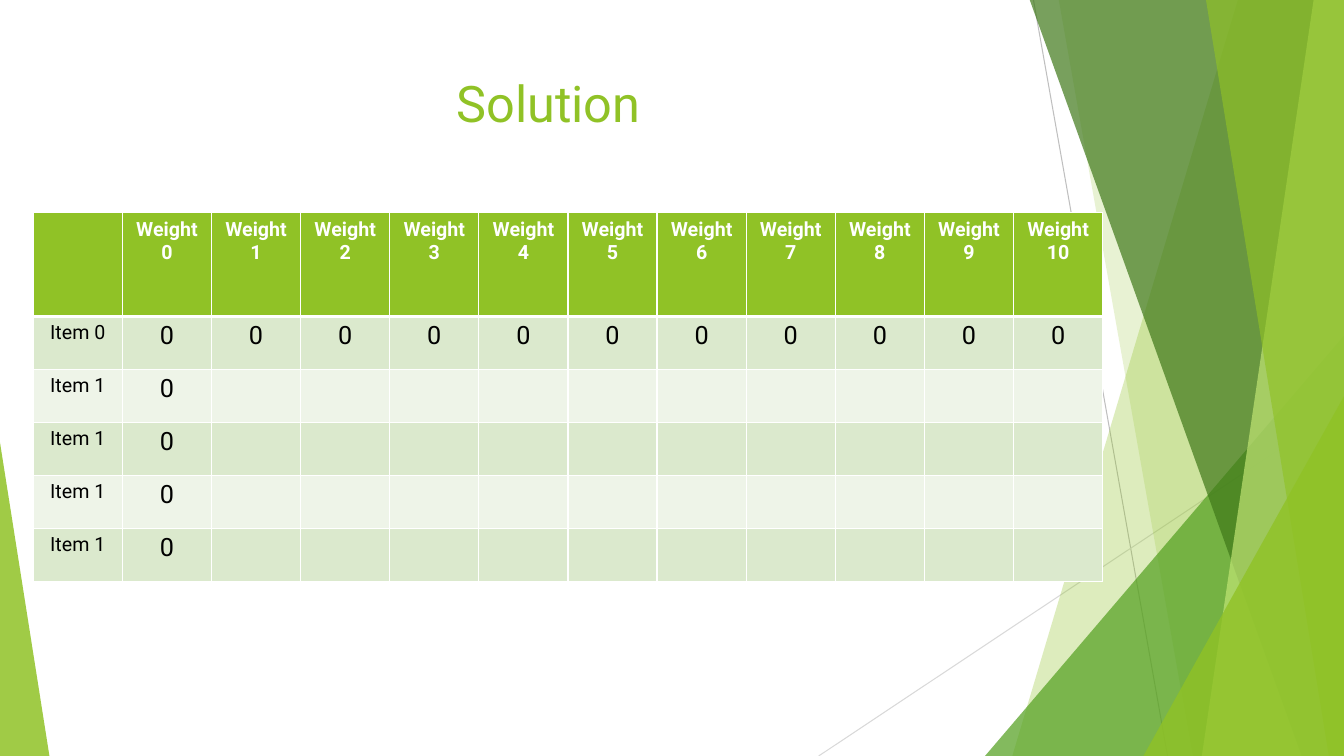
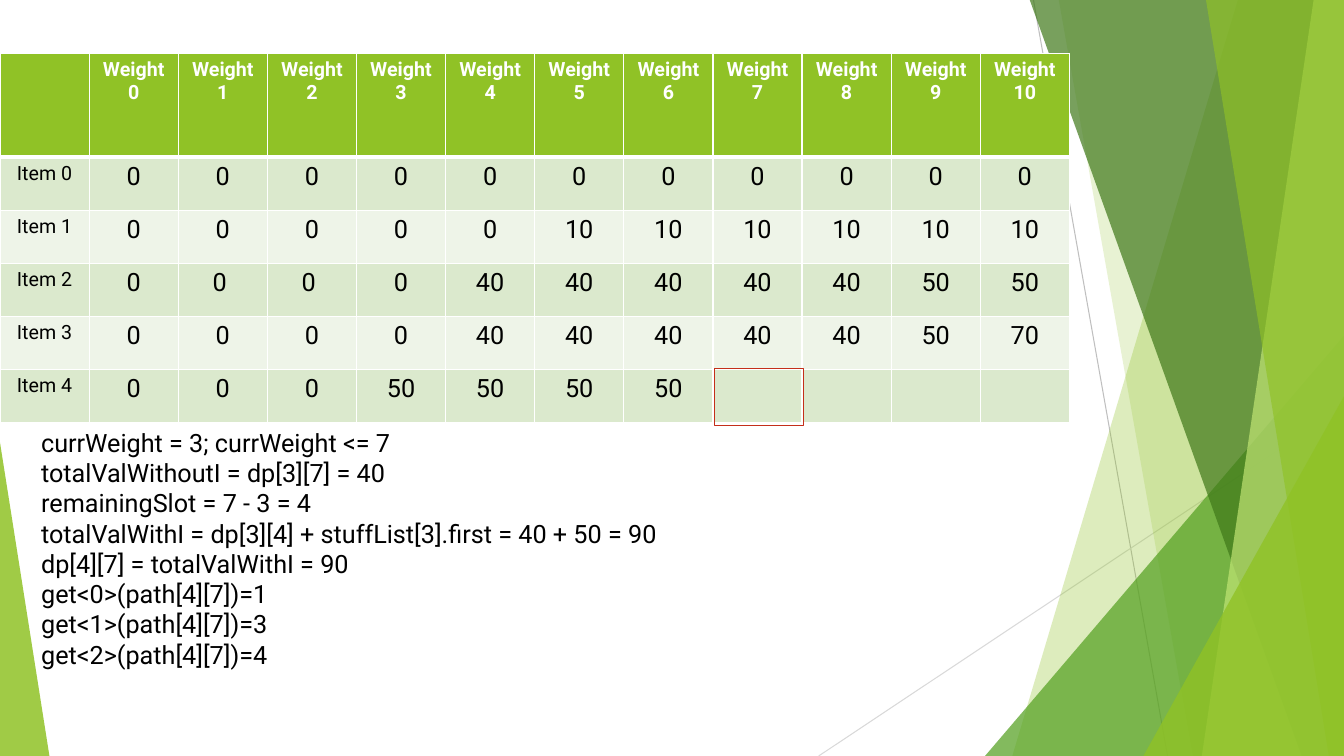
import dataclasses

import lxml.etree
import pptx
import pptx.dml.color
import pptx.enum.shapes
import pptx.enum.text
import pptx.oxml.ns
import pptx.util

Inches = pptx.util.Inches
Pt = pptx.util.Pt
qn = pptx.oxml.ns.qn
SHAPE = pptx.enum.shapes.MSO_SHAPE
ALIGN = pptx.enum.text.PP_ALIGN


@dataclasses.dataclass(frozen=True)
class Theme:
    font: str = "Roboto"
    lime: str = "90C226"
    green: str = "54A021"
    forest: str = "3F7819"
    pale: str = "C0E474"
    odd_row: str = "DBE9CD"
    even_row: str = "EEF4E8"
    white: str = "FFFFFF"
    black: str = "000000"
    red: str = "C42F1A"
    steep_line: str = "BFBFBF"
    flat_line: str = "D9D9D9"
    title_size: int = 36
    body_size: int = 18
    label_size: int = 14
    thin: float = 0.75


T = Theme()
WIDTH, HEIGHT = 13.33, 7.5
TABLE_WIDTH, TABLE_HEIGHT, HEADER_HEIGHT = 10.61, 3.66, 1.03
HEADER = [""] + [f"Weight {w}" for w in range(11)]

# Top-left x, top-right x, bottom-left x, colour, opacity
BACK_BANDS = [(12.28, 10.04, T.lime, 30), (10.5, 11.83, T.lime, 20)]
FRONT_BANDS = [
    (10.21, 12.91, T.forest, 70),
    (13.03, 11.92, T.pale, 70),
    (11.96, 13.18, T.lime, 65),
]


def rgb(color):
    return pptx.dml.color.RGBColor.from_string(color)


def write(tf, *lines, size=T.body_size, color=T.black, bold=False, align=ALIGN.LEFT):
    """Put one paragraph per line into a text frame."""
    for i, line in enumerate(lines):
        p = tf.paragraphs[0] if i == 0 else tf.add_paragraph()
        p.alignment = align
        r = p.add_run()
        r.text = line
        r.font.name = T.font
        r.font.size = Pt(size)
        r.font.bold = bold
        r.font.color.rgb = rgb(color)


def tint(sp, color, opacity):
    sp.shadow.inherit = False
    sp.line.fill.background()
    sp.fill.solid()
    sp.fill.fore_color.rgb = rgb(color)
    clr = sp.element.spPr.find(".//" + qn("a:srgbClr"))
    lxml.etree.SubElement(clr, qn("a:alpha")).set("val", str(opacity * 1000))


def add_line(s, x1, y1, x2, y2, color):
    kind = pptx.enum.shapes.MSO_CONNECTOR.STRAIGHT
    sp = s.shapes.add_connector(kind, *map(Inches, (x1, y1, x2, y2)))
    sp.line.color.rgb = rgb(color)
    sp.line.width = Pt(T.thin)
    lxml.etree.SubElement(sp.element.spPr, qn("a:effectLst"))


def add_band(s, top, bottom, color, opacity):
    """Fill from a slanted left edge to the right edge of the slide."""
    points = [(WIDTH, -0.01), (WIDTH, HEIGHT), (bottom, HEIGHT)]
    builder = s.shapes.build_freeform(Inches(top), Inches(-0.01))
    builder.add_line_segments([(Inches(x), Inches(y)) for x, y in points], close=True)
    tint(builder.convert_to_shape(), color, opacity)


def add_corner(s, left, top, width, apex, color, opacity):
    """Add a triangle standing on the bottom edge, its apex at 0 (left) or 1 (right)."""
    box = map(Inches, (left, top, width, HEIGHT - top))
    sp = s.shapes.add_shape(SHAPE.ISOSCELES_TRIANGLE, *box)
    sp.adjustments[0] = apex
    tint(sp, color, opacity)


def add_facets(s):
    add_line(s, 10.25, 0, 11.58, HEIGHT, T.steep_line)
    add_line(s, WIDTH, 4.03, 8.12, HEIGHT, T.flat_line)
    for band in BACK_BANDS:
        add_band(s, *band)
    add_corner(s, 9.77, 3.33, 3.56, 1, T.green, 72)
    for band in FRONT_BANDS:
        add_band(s, *band)
    add_corner(s, 11.34, 3.93, 1.99, 1, T.lime, 80)
    add_corner(s, 0, 4.39, 0.49, 0, T.lime, 85)


def move_to_master(prs, s):
    """Move all shapes of a slide behind the placeholders of the master."""
    tree = prs.slide_master.element.find(".//" + qn("p:spTree"))
    for i, sp in enumerate(list(s.shapes)):
        sp.element.find(".//" + qn("p:cNvPr")).set("id", str(100 + i))
        tree.insert(2 + i, sp.element)


def set_borders(cell, bottom):
    tc_pr = cell._tc.get_or_add_tcPr()
    for side, width in (("L", 1), ("R", 1), ("T", 1), ("B", bottom)):
        ln = lxml.etree.SubElement(tc_pr, qn(f"a:ln{side}"), w=str(Pt(width)))
        fill = lxml.etree.SubElement(ln, qn("a:solidFill"))
        lxml.etree.SubElement(fill, qn("a:srgbClr"), val=T.white)


def fill_cell(cell, text, row, col):
    header = row == 0
    set_borders(cell, bottom=3 if header else 1)
    cell.fill.solid()
    fill = T.lime if header else T.odd_row if row % 2 else T.even_row
    cell.fill.fore_color.rgb = rgb(fill)
    if text:
        write(
            cell.text_frame, text, align=ALIGN.CENTER, bold=header,
            size=T.label_size if header or col == 0 else T.body_size,
            color=T.white if header else T.black,
        )


def add_weight_table(s, left, top, items):
    rows = [HEADER] + items
    box = map(Inches, (left, top, TABLE_WIDTH, TABLE_HEIGHT))
    table = s.shapes.add_table(len(rows), len(HEADER), *box).table
    for column in table.columns:
        column.width = Inches(TABLE_WIDTH / len(HEADER))
    for i, row in enumerate(rows):
        height = (TABLE_HEIGHT - HEADER_HEIGHT) / len(items) if i else HEADER_HEIGHT
        table.rows[i].height = Inches(height)
        padded = row + [""] * (len(HEADER) - len(row))
        for j, text in enumerate(padded):
            fill_cell(table.cell(i, j), text, i, j)


def set_title(s, text):
    sp = s.shapes.title
    sp.left, sp.top, sp.width, sp.height = map(Inches, (0.74, 0.67, 9.4, 1.44))
    sp.text_frame.vertical_anchor = pptx.enum.text.MSO_ANCHOR.TOP
    write(sp.text_frame, text, size=T.title_size, color=T.lime, align=ALIGN.CENTER)


def add_cell_marker(s, left, top, width, height):
    sp = s.shapes.add_shape(SHAPE.RECTANGLE, *map(Inches, (left, top, width, height)))
    sp.shadow.inherit = False
    sp.fill.background()
    sp.line.color.rgb = rgb(T.red)
    sp.line.width = Pt(T.thin)


def add_steps(s, *lines):
    tf = s.shapes.add_textbox(*map(Inches, (0.31, 4.19, 10.06, 3.43))).text_frame
    tf.word_wrap = True
    write(tf, *lines)


def build_solution(s):
    set_title(s, "Solution")
    items = [["Item 0"] + ["0"] * 11] + [["Item 1", "0"]] * 4
    add_weight_table(s, 0.33, 2.11, items)


def build_step(s):
    add_weight_table(s, 0, 0.53, [
        ["Item 0"] + ["0"] * 11,
        ["Item 1"] + ["0"] * 5 + ["10"] * 6,
        ["Item 2", "0", "0 ", "0 ", "0"] + ["40"] * 5 + ["50"] * 2,
        ["Item 3"] + ["0"] * 4 + ["40"] * 5 + ["50", "70"],
        ["Item 4"] + ["0"] * 3 + ["50"] * 4,
    ])
    add_cell_marker(s, 7.09, 3.66, 0.88, 0.56)
    add_steps(
        s,
        "currWeight = 3; currWeight <= 7",
        "totalValWithoutI = dp[3][7] = 40",
        "remainingSlot = 7 - 3 = 4",
        "totalValWithI = dp[3][4] + stuffList[3].first = 40 + 50 = 90",
        "dp[4][7] = totalValWithI = 90",
        "get<0>(path[4][7])=1",
        "get<1>(path[4][7])=3",
        "get<2>(path[4][7])=4",
    )


def main():
    prs = pptx.Presentation()
    prs.slide_width, prs.slide_height = Inches(WIDTH), Inches(HEIGHT)
    title_only, blank = prs.slide_layouts[5], prs.slide_layouts[6]
    solution = prs.slides.add_slide(title_only)
    step = prs.slides.add_slide(blank)
    add_facets(step)
    move_to_master(prs, step)
    build_solution(solution)
    build_step(step)
    prs.save("out.pptx")


if __name__ == "__main__":
    main()
